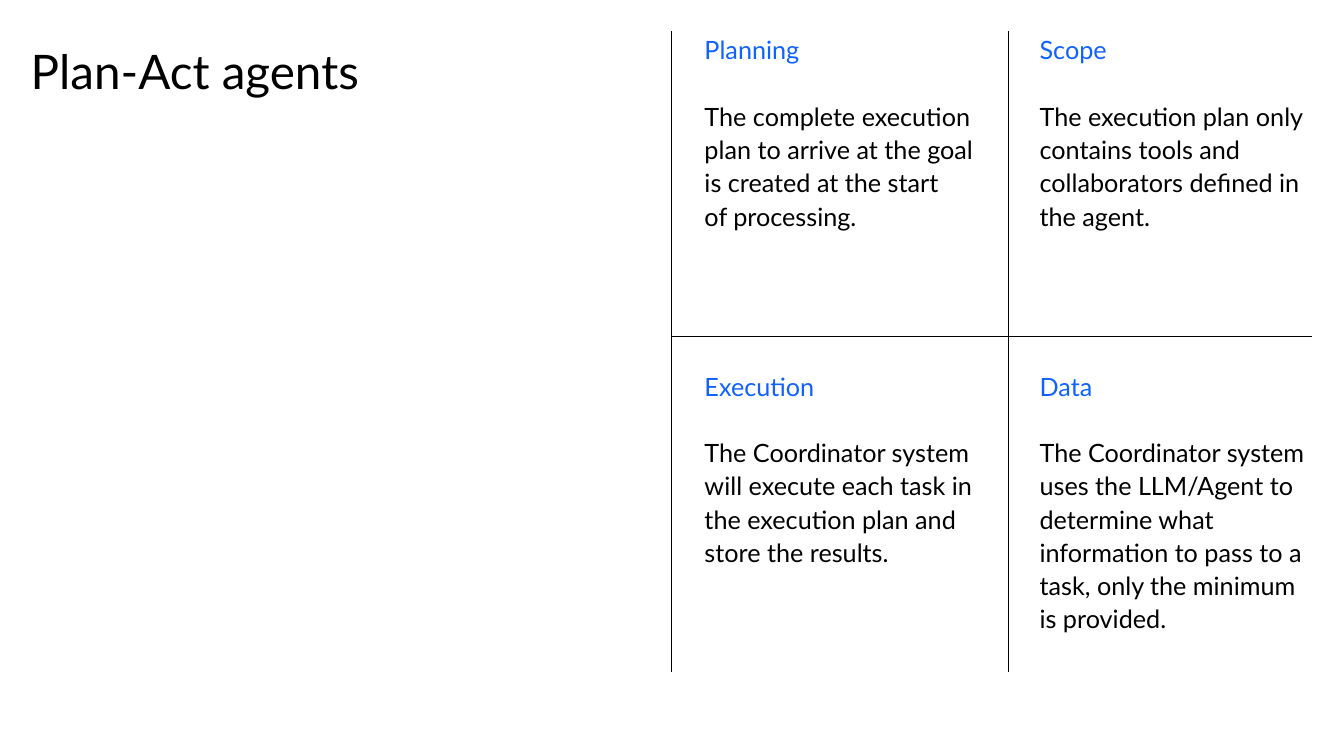
from pptx import Presentation
from pptx.dml.color import RGBColor as RGB
from pptx.enum.shapes import MSO_CONNECTOR as Conn
from pptx.enum.text import MSO_ANCHOR as Anchor
from pptx.oxml.ns import qn
from pptx.util import Inches, Pt
from lxml.etree import SubElement as Sub

BLACK, BLUE = "000000", "0F62FE"
GAP = 47.5  # one body line, in points


def color(code):
    return RGB.from_string(code)


class Board:
    face = "Lato"

    def __init__(self, slide):
        self.slide = slide

    def text(self, left, top, width, height, parts, inset=0):
        """Add a box; each part is (words, size, colour, paragraph format)."""
        box = self.slide.shapes.add_textbox(*map(Inches, (left, top, width, height)))
        frame = box.text_frame
        look = {"word_wrap": True, "vertical_anchor": Anchor.TOP,
                "margin_left": 0, "margin_top": 0,
                "margin_right": Inches(inset), "margin_bottom": 0}
        for key, value in look.items():
            setattr(frame, key, value)
        for i, (words, size, code, form) in enumerate(parts):
            para = frame.paragraphs[0] if i == 0 else frame.add_paragraph()
            for key, value in form.items():
                setattr(para, key, value)
            run = para.add_run()
            run.text = words
            for key, value in {"name": self.face, "size": Pt(size)}.items():
                setattr(run.font, key, value)
            run.font.color.rgb = color(code)

    def rule(self, x1, y1, x2, y2):
        line = self.slide.shapes.add_connector(
            Conn.STRAIGHT, *map(Inches, (x1, y1, x2, y2)))
        line.line.color.rgb = color(BLACK)
        line.line.width = Pt(1)
        Sub(line._element.spPr, qn("a:effectLst"))

    def cell(self, left, top, head, body):
        parts = [(head, 36, BLUE, {"line_spacing": 1.1})]
        for i, words in enumerate(body):
            space = Pt(0 if i else GAP)
            parts.append((words, 36, BLACK,
                          {"line_spacing": 1.1, "space_before": space}))
        self.text(left, top, 5.42, 5.41, parts)


def main():
    deck = Presentation()
    deck.slide_width, deck.slide_height = Inches(26.67), Inches(15)
    board = Board(deck.slides.add_slide(deck.slide_layouts[6]))

    # Title
    board.text(0.61, 0.84, 12.08, 5, [("Plan-Act agents", 68, BLACK, {})], 0.5)

    # Four topics, row by row
    topics = [
        ("Planning", ["The complete execution plan to arrive at the goal "
                      "is created at the start", "of processing."]),
        ("Scope", ["The execution plan only contains tools and "
                   "collaborators defined in the agent."]),
        ("Execution", ["The Coordinator system will execute each task in "
                       "the execution plan and store the results."]),
        ("Data", ["The Coordinator system uses the LLM/Agent to determine "
                  "what information to pass to a task, only the minimum "
                  "is provided."]),
    ]
    for i, (head, body) in enumerate(topics):
        row, col = divmod(i, 2)
        board.cell(13.98 + 6.65 * col, 0.63 + 6.67 * row, head, body)

    # Grid lines
    board.rule(13.33, 6.67, 26.04, 6.67)
    for x in (13.33, 20):
        board.rule(x, 0.62, x, 13.34)

    deck.save("out.pptx")


if __name__ == "__main__":
    main()
